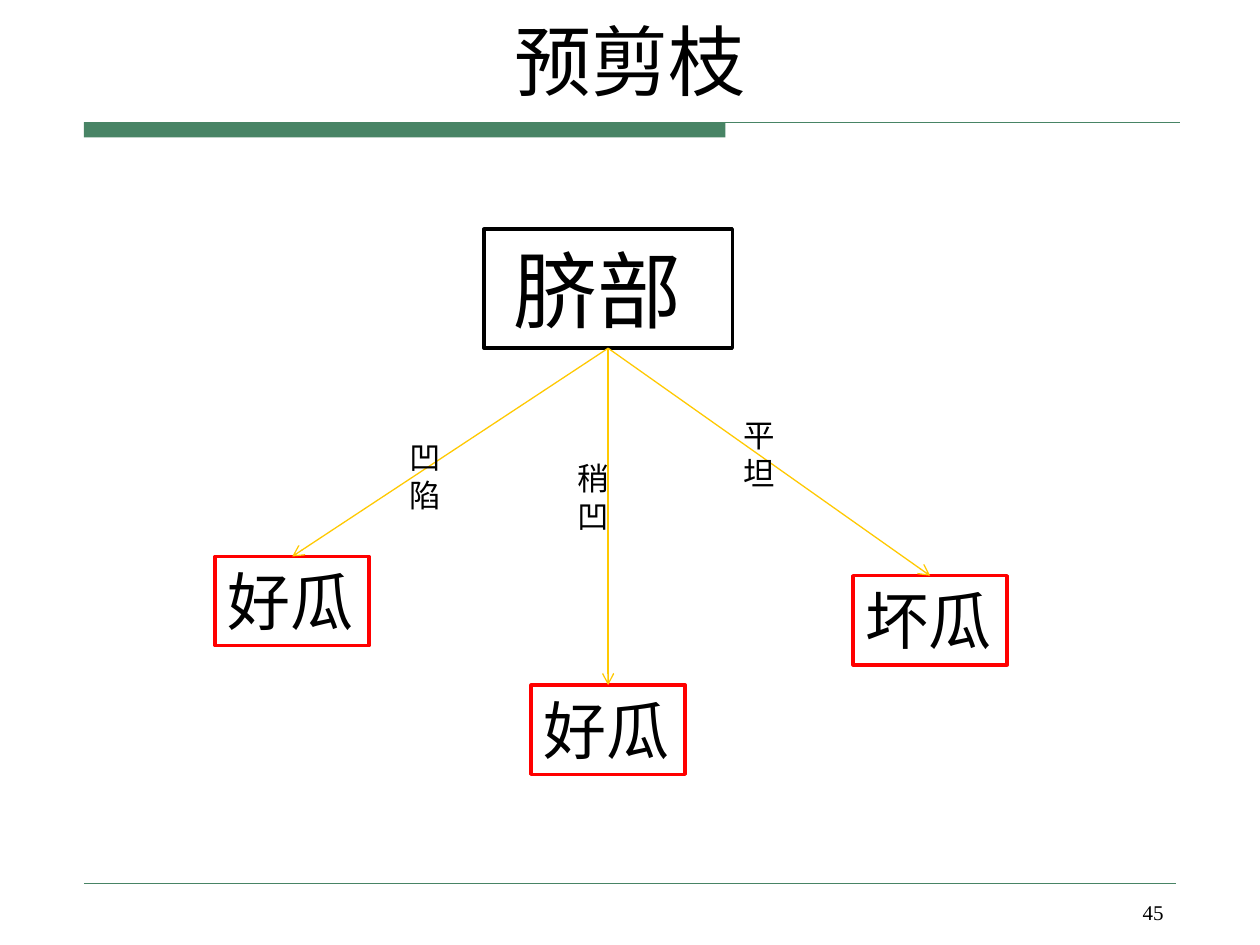
from lxml import etree
from pptx import Presentation
from pptx.dml.color import RGBColor
from pptx.enum import shapes, text
from pptx.oxml import ns
from pptx.util import Pt

BLACK, GREEN, RED, YELLOW = "000000", "488465", "FF0000", "FFC902"
CJK = "Noto Sans CJK SC"
LEFT, CENTER, RIGHT = text.PP_ALIGN.LEFT, text.PP_ALIGN.CENTER, text.PP_ALIGN.RIGHT
TOP_SITE, BOTTOM_SITE = 0, 2
LEAF_W, LEAF_H = 88, 51


def rgb(value):
    return RGBColor.from_string(value)


class Deck:
    """Holds the text style and the current slide."""

    def __init__(self, s, font="Arial", color=BLACK):
        self.s, self.font, self.color = s, font, color

    def label(self, sp, words, size, align=LEFT, anchor=text.MSO_ANCHOR.TOP, font=None):
        tf = sp.text_frame
        tf.word_wrap = True
        tf.vertical_anchor = anchor
        p = tf.paragraphs[0]
        p.alignment = align
        r = p.add_run()
        r.text = words
        r.font.size = Pt(size)
        r.font.name = font or self.font
        r.font.color.rgb = rgb(self.color)
        ea = etree.SubElement(r._r.get_or_add_rPr(), ns.qn("a:ea"))
        ea.set("typeface", CJK)

    def text(self, words, x, y, w, h, size, **style):
        sp = self.s.shapes.add_textbox(Pt(x), Pt(y), Pt(w), Pt(h))
        self.label(sp, words, size, **style)

    def rect(self, x, y, w, h, fill=None, line=None):
        sp = self.s.shapes.add_shape(
            shapes.MSO_SHAPE.RECTANGLE, Pt(x), Pt(y), Pt(w), Pt(h))
        sp.shadow.inherit = False
        if fill:
            sp.fill.solid()
            sp.fill.fore_color.rgb = rgb(fill)
        else:
            sp.fill.background()
        if line:
            sp.line.color.rgb = rgb(line)
            sp.line.width = Pt(2)
        else:
            sp.line.fill.background()
        return sp

    def line(self, x1, y1, x2, y2, color, width):
        c = self.s.shapes.add_connector(
            shapes.MSO_CONNECTOR.STRAIGHT, Pt(x1), Pt(y1), Pt(x2), Pt(y2))
        c.line.color.rgb = rgb(color)
        c.line.width = Pt(width)
        etree.SubElement(c._element.spPr, ns.qn("a:effectLst"))
        return c

    def arrow(self, parent, child):
        """Points from the bottom of parent to the top of child."""
        c = self.line(0, 0, 0, 0, YELLOW, 0.75)
        c.begin_connect(parent, BOTTOM_SITE)
        c.end_connect(child, TOP_SITE)
        tail = etree.SubElement(c.get_or_add_ln(), ns.qn("a:tailEnd"))
        tail.set("type", "arrow")


def main():
    prs = Presentation()
    prs.slide_width, prs.slide_height = Pt(720), Pt(540)
    d = Deck(prs.slides.add_slide(prs.slide_layouts[6]))

    d.rect(48, 70, 366.5, 8.6, fill=GREEN)
    d.line(48, 70, 674.5, 70, GREEN, 0.75)
    d.line(48, 504.5, 672, 504.5, GREEN, 0.25)
    d.text("预剪枝", 45, -2, 630, 66, 44, align=CENTER,
           anchor=text.MSO_ANCHOR.BOTTOM, font=CJK)
    d.text("45", 516, 510.5, 156, 37.5, 12, align=RIGHT, font="Times New Roman")

    root = d.rect(276.5, 131, 142, 68, line=BLACK)
    d.text("脐部", 286.5, 133, 156, 65.5, 48)

    branches = [
        ("凹陷", 227, 247, "好瓜", 123, 318),
        ("稍凹", 323, 259, "好瓜", 303.5, 391.5),
        ("平坦", 418, 234, "坏瓜", 487.5, 329),
    ]
    for value, value_x, value_y, verdict, x, y in branches:
        leaf = d.rect(x, y, LEAF_W, LEAF_H, line=RED)
        d.label(leaf, verdict, 36)
        d.arrow(root, leaf)
        d.text(value, value_x, value_y, 48, 51, 18)

    prs.save("out.pptx")


if __name__ == "__main__":
    main()
